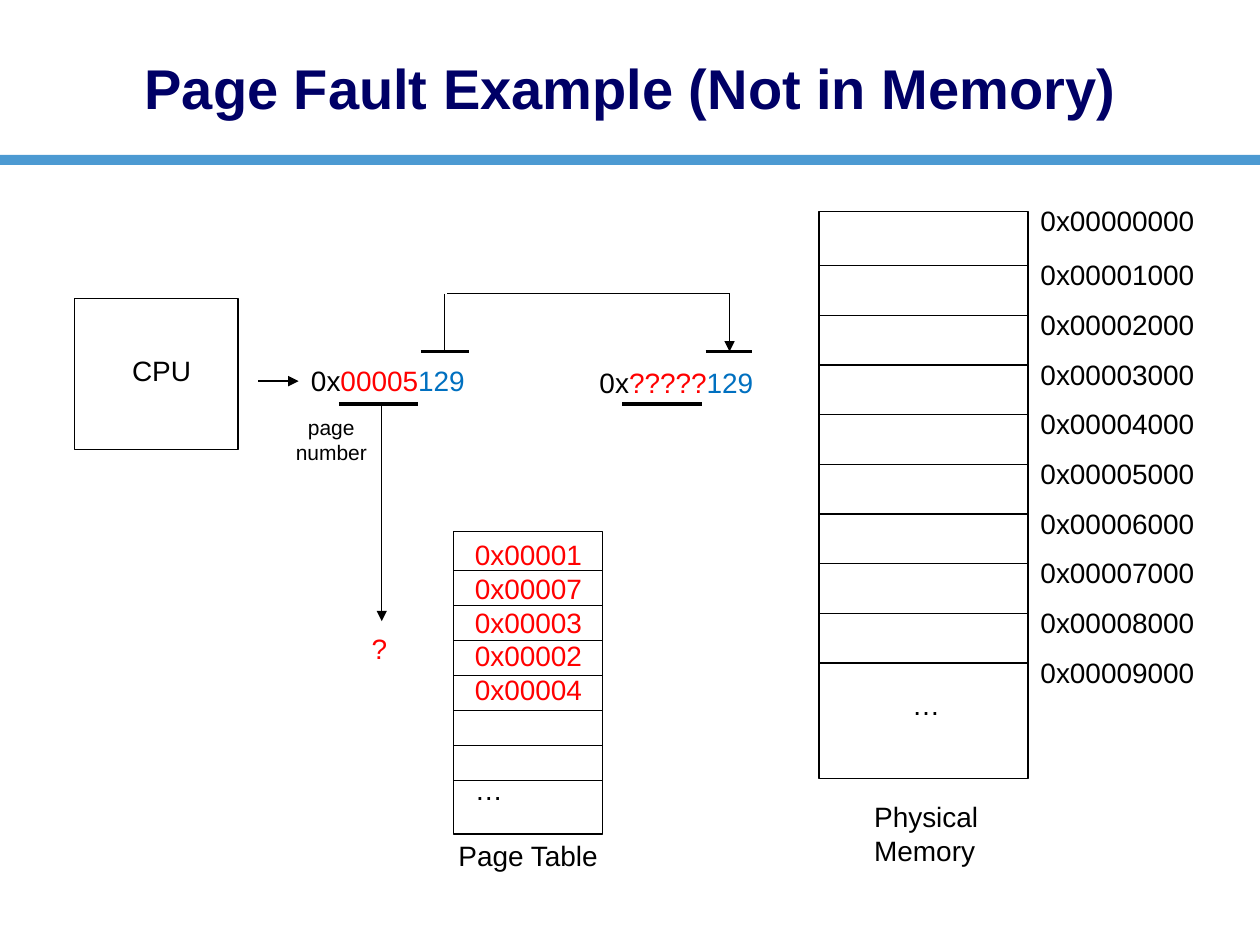
"""Build a slide that shows a page fault for a page that is not in memory."""
from dataclasses import dataclass

from lxml import etree
from pptx import Presentation
from pptx.dml.color import RGBColor
from pptx.enum.shapes import MSO_CONNECTOR, MSO_SHAPE
from pptx.enum.text import MSO_ANCHOR, MSO_AUTO_SIZE, PP_ALIGN
from pptx.oxml.ns import qn
from pptx.slide import Slide
from pptx.util import Inches, Pt

STRAIGHT = MSO_CONNECTOR.STRAIGHT
RECTANGLE = MSO_SHAPE.RECTANGLE
LEFT, CENTER = PP_ALIGN.LEFT, PP_ALIGN.CENTER
TOP, MIDDLE = MSO_ANCHOR.TOP, MSO_ANCHOR.MIDDLE
FIT, FIXED = MSO_AUTO_SIZE.SHAPE_TO_FIT_TEXT, MSO_AUTO_SIZE.NONE

COLUMNS, ROWS = 100, 75
CELL = Inches(10) / COLUMNS
FONT = "Arial"
COLORS = {
    "black": "000000",
    "red": "FF0000",
    "blue": "0070C0",
    "navy": "000066",
}
THIN, THICK = 0.75, 2.25
LABEL_HEIGHT = 3.7
ELLIPSIS_GAP = Pt(38.4)


@dataclass(frozen=True)
class Box:
    """A rectangle in grid columns and rows."""
    column: float
    row: float
    width: float
    height: float

    @property
    def right(self) -> float:
        """Return the column of the right edge."""
        return self.column + self.width


@dataclass(frozen=True)
class Label:
    """Text lines, each made of (text, colour) runs, and their place."""
    box: Box
    lines: tuple
    size: float = 16
    align: PP_ALIGN = LEFT


@dataclass(frozen=True)
class Line:
    """A straight line between two grid points."""
    start: tuple[float, float]
    end: tuple[float, float]
    weight: float = THIN
    arrow: bool = False


CPU = Box(5.9, 23.7, 13, 12)
PAGE_TABLE = Box(36, 42.2, 11.8, 24)
MEMORY = Box(65, 16.8, 16.6, 45)
TITLE = Label(Box(4.2, 1.5, 91.7, 10.9),
              ((("Page Fault Example (Not in Memory)", "navy"),),), 32, CENTER)
PAGE_ENTRIES = ("0x00001", "0x00007", "0x00003", "0x00002", "0x00004")
ENTRIES = Label(Box(36.7, 42.2, 10.5, 25),
                tuple(((entry, "red"),) for entry in PAGE_ENTRIES) + ((("…", "black"),),))
PAGE_DIVIDERS = tuple(45.3 + 2.77 * index for index in range(7))
MEMORY_DIVIDERS = tuple(21.1 + 3.94 * index for index in range(9))
ADDRESS_ROWS = (15.7, *(divider - 1.12 for divider in MEMORY_DIVIDERS))


def address(column: float, row: float, page: str) -> Label:
    """Return an address with its page number and offset coloured."""
    runs = (("0x", "black"), (page, "red"), ("129", "blue"))
    return Label(Box(column, row, 14.4, LABEL_HEIGHT), (runs,))


LABELS = (
    address(23.7, 28.4, "00005"),
    address(46.6, 28.5, "?????"),
    Label(Box(35.4, 66.1, 13.5, LABEL_HEIGHT), ((("Page Table", "black"),),)),
    Label(Box(71.4, 54.1, 4.2, LABEL_HEIGHT), ((("…", "black"),),)),
    Label(Box(68.4, 63, 11, 6.4), ((("Physical", "black"),), (("Memory", "black"),))),
    Label(Box(9.5, 27.6, 6.9, LABEL_HEIGHT), ((("CPU", "black"),),)),
    Label(Box(22, 32.4, 8.6, 5), ((("page", "black"),), (("number", "black"),)), 12, CENTER),
    Label(Box(28.5, 49.6, 3.2, LABEL_HEIGHT), ((("?", "red"),),), 16, CENTER),
    *(Label(Box(MEMORY.right, row, 14.4, LABEL_HEIGHT), (((f"0x{index:05d}000", "black"),),))
      for index, row in enumerate(ADDRESS_ROWS)),
)
LINES = (
    Line((20.5, 30.25), (23.7, 30.25), arrow=True),
    Line((26.9, 32.1), (33.2, 32.1), THICK),
    Line((30.3, 32.1), (30.3, 49.3), arrow=True),
    Line((49.4, 32.1), (55.7, 32.1), THICK),
    Line((35.3, 23.3), (35.3, 27.9)),
    Line((33.4, 27.9), (37.2, 27.9), THICK),
    Line((35.5, 23.3), (57.9, 23.3)),
    Line((56, 27.9), (59.7, 27.9), THICK),
    Line((57.9, 23.3), (57.9, 27.9), arrow=True),
)


def place(box: Box) -> tuple[int, ...]:
    """Return the left, top, width and height of a box."""
    return tuple(round(value * CELL) for value in (box.column, box.row, box.width, box.height))


def color(name: str) -> RGBColor:
    """Return a named colour."""
    return RGBColor.from_string(COLORS[name])


def draw_bar(slide: Slide, box: Box) -> None:
    """Draw the translucent bar below the title."""
    shape = slide.shapes.add_shape(RECTANGLE, *place(box))
    shape.shadow.inherit = False
    shape.line.fill.background()
    shape.fill.solid()
    shape.fill.fore_color.rgb = color("blue")
    fill_color = next(shape.fill._xPr.iter(qn("a:srgbClr")))
    etree.SubElement(fill_color, qn("a:alpha"), val="70000")


def draw_line(slide: Slide, line: Line) -> None:
    """Draw a line, with an arrowhead at its end where wanted."""
    points = (round(value * CELL) for value in (*line.start, *line.end))
    connector = slide.shapes.add_connector(STRAIGHT, *points)
    connector.line.color.rgb = color("black")
    connector.line.width = Pt(line.weight)
    if line.arrow:
        etree.SubElement(connector.line._get_or_add_ln(), qn("a:tailEnd"), type="triangle")
    etree.SubElement(connector._element.spPr, qn("a:effectLst"))


def draw_frame(slide: Slide, box: Box, dividers: tuple[float, ...] = ()) -> None:
    """Draw an outlined box split by horizontal dividers."""
    shape = slide.shapes.add_shape(RECTANGLE, *place(box))
    shape.shadow.inherit = False
    shape.fill.background()
    shape.line.color.rgb = color("black")
    shape.line.width = Pt(THIN)
    for row in dividers:
        draw_line(slide, Line((box.column, row), (box.right, row)))


def draw_label(slide: Slide, label: Label, bold: bool = False,
               wrap: bool = False, anchor: MSO_ANCHOR = TOP) -> list:
    """Draw a label and return its paragraphs."""
    text_frame = slide.shapes.add_textbox(*place(label.box)).text_frame
    text_frame.word_wrap = wrap
    text_frame.auto_size = FIXED if wrap else FIT
    text_frame.vertical_anchor = anchor
    text_frame.text = "\n".join("" for _ in label.lines)
    for paragraph, runs in zip(text_frame.paragraphs, label.lines):
        paragraph.alignment = label.align
        for text, color_name in runs:
            run = paragraph.add_run()
            run.text = text
            run.font.name = FONT
            run.font.size = Pt(label.size)
            run.font.bold = bold
            run.font.color.rgb = color(color_name)
    return list(text_frame.paragraphs)


def main() -> None:
    """Build and save the presentation."""
    presentation = Presentation()
    presentation.slide_width = round(COLUMNS * CELL)
    presentation.slide_height = round(ROWS * CELL)
    slide = presentation.slides.add_slide(presentation.slide_layouts[6])
    draw_bar(slide, Box(0, 12.3, COLUMNS, 0.8))
    draw_label(slide, TITLE, bold=True, wrap=True, anchor=MIDDLE)
    draw_frame(slide, PAGE_TABLE, PAGE_DIVIDERS)
    draw_frame(slide, MEMORY, MEMORY_DIVIDERS)
    draw_frame(slide, CPU)
    draw_label(slide, ENTRIES)[-1].space_before = ELLIPSIS_GAP
    for label in LABELS:
        draw_label(slide, label)
    for line in LINES:
        draw_line(slide, line)
    presentation.save("out.pptx")


if __name__ == "__main__":
    main()
